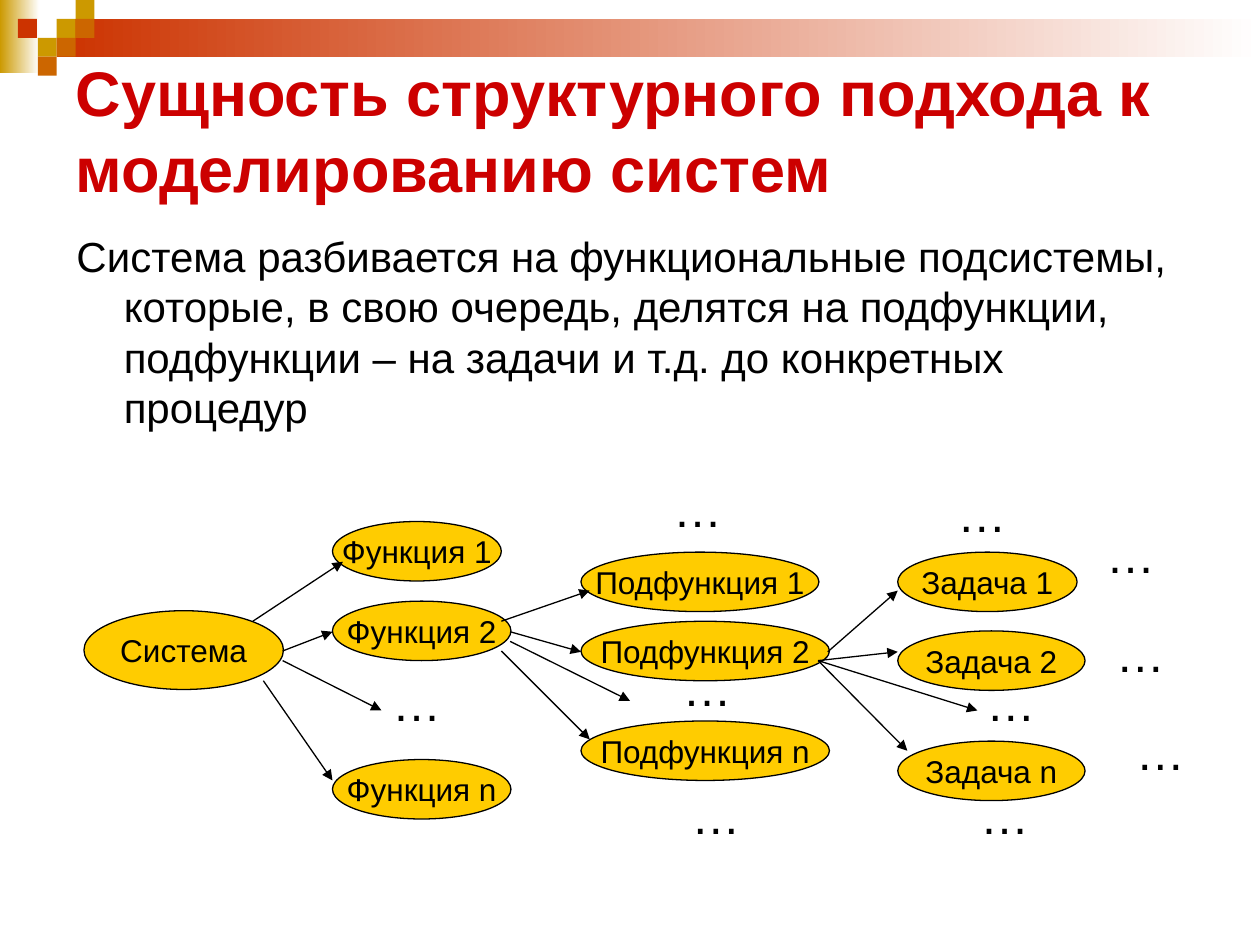
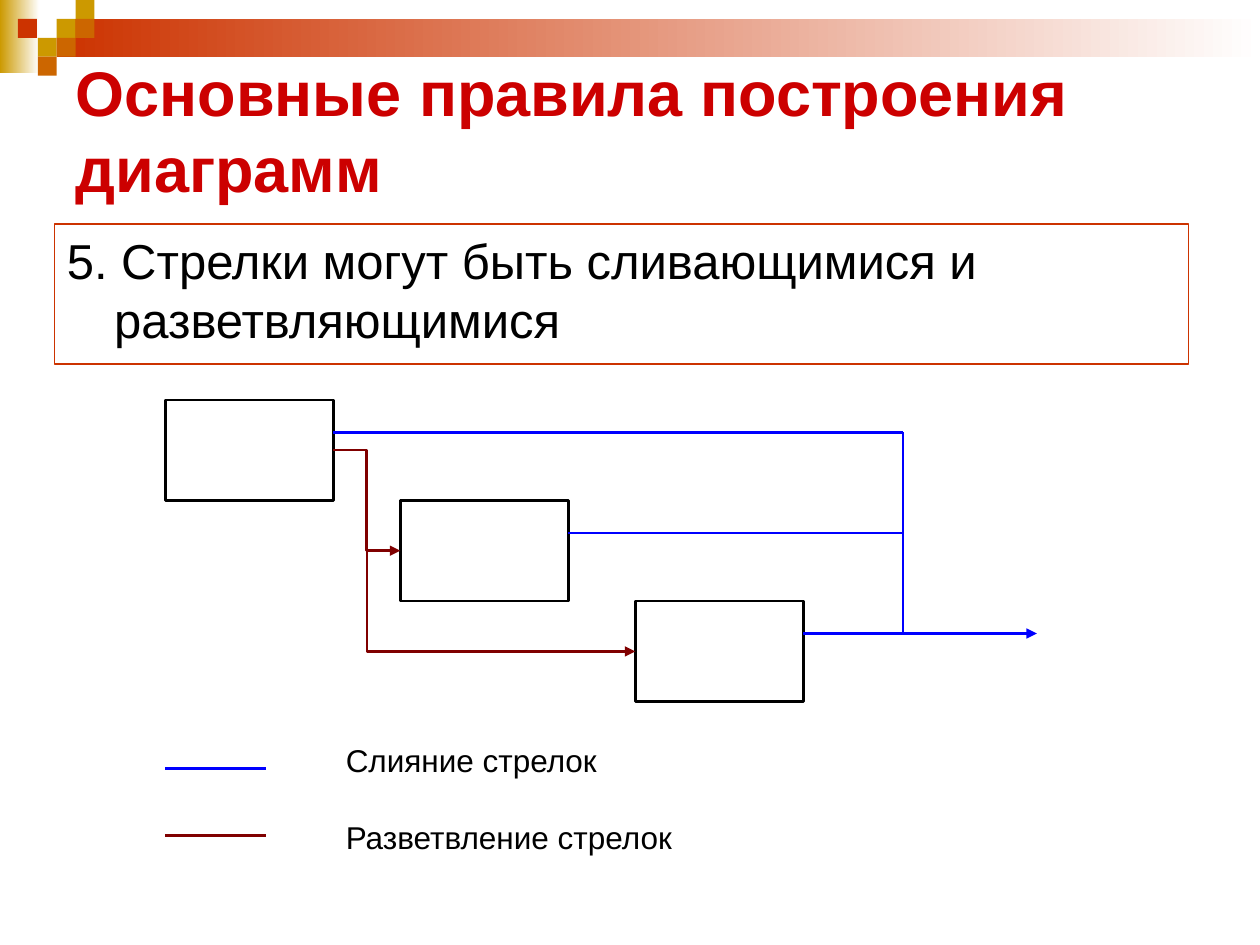
from lxml.etree import SubElement
from pptx import Presentation
from pptx.dml.color import RGBColor
from pptx.enum.shapes import MSO_CONNECTOR as Link, MSO_SHAPE as Shape
from pptx.enum.text import MSO_ANCHOR as Anchor, MSO_AUTO_SIZE as Fit, PP_ALIGN as Align
from pptx.oxml.ns import qn
from pptx.util import Pt

FONT = "Arial"
BLACK, WHITE, RED, AMBER = "000000", "FFFFFF", "CC0000", "FFCC00"
GOLD, ORANGE, RUST = "CC9900", "CC6600", "CC3300"
MERGE, BRANCH = "0000FF", "800000"

BANDS = [(0, 0, 22.5, 42, GOLD), (32.5, 11, 687.5, 21.5, RUST)]
TILE = 10.8
TILES = [(3, 1, GOLD), (4, 0, GOLD), (4, 1, ORANGE), (2, 2, GOLD),
         (0.95, 1, RUST), (3, 2, ORANGE), (2, 3, ORANGE)]

STRUCTURE_TITLE = "Сущность структурного подхода к моделированию систем"
STRUCTURE_TEXT = ("Система разбивается на функциональные подсистемы, которые, в свою очередь, "
                  "делятся на подфункции, подфункции – на задачи и т.д. до конкретных процедур")
SYSTEM = ("Система", 48, 349, 114, 45)
NODE_HEIGHT = 34
LEVELS = [
    (190, [("Функция 1", 298, 96.5), ("Функция 2", 343.5, 102), ("Функция n", 434, 102)]),
    (332, [("Подфункция 1", 315.5, 136), ("Подфункция 2", 355, 142), ("Подфункция n", 412, 142)]),
    (513, [("Задача 1", 315.5, 102.5), ("Задача 2", 360.5, 107), ("Задача n", 423.5, 107)]),
]
ARROWS = [
    (144.5, 355, 196, 321), (161.5, 372, 190, 361), (161.5, 377.5, 218, 406), (150.5, 389, 190, 446),
    (286.5, 355, 337, 337.5), (291.5, 361, 332, 372.5), (291.5, 366.5, 360, 400.5),
    (286.5, 372, 337, 422.5),
    (473, 372.5, 513, 337.5), (467.5, 377.5, 513, 372.5), (467.5, 377.5, 558.5, 406),
    (467.5, 377.5, 518.5, 429),
]
ELLIPSES = [(217, 381), (377.5, 270), (383, 372), (388, 445.5), (540, 273), (556.5, 381),
            (553, 445.5), (625, 296), (630.5, 353), (642, 409)]

RULES_TITLE = "Основные правила построения диаграмм"
RULES_TEXT = "5. Стрелки могут быть сливающимися и разветвляющимися"
LEGEND = [("Слияние стрелок", MERGE, 439), ("Разветвление стрелок", BRANCH, 477.5)]
BOX_LEFT, BOX_TOP, BOX_WIDTH, BOX_HEIGHT = 94.5, 228.5, 96, 57.5
STEP_X, STEP_Y = 134.25, 57.5
MERGE_X, MERGE_END, MERGE_DROP = 516, 592.5, 18.5


def color(hex_text):
    """Turn a hex string into a colour."""
    return RGBColor.from_string(hex_text)


def style(para, size, hex_text=BLACK, bold=False, align=Align.LEFT):
    """Format a whole paragraph."""
    font = para.font
    font.name, font.size, font.bold = FONT, Pt(size), bold
    font.color.rgb = color(hex_text)
    para.alignment = align


def add_box(page, kind, place, fill, line=None, width=0.75):
    """Add a flat preset shape at (left, top, width, height)."""
    box = page.shapes.add_shape(kind, *map(Pt, place))
    box.shadow.inherit = False
    box.fill.solid()
    box.fill.fore_color.rgb = color(fill)
    if line:
        box.line.color.rgb = color(line)
        box.line.width = Pt(width)
    else:
        box.line.fill.background()
    return box


def add_line(page, ends, hex_text, width, arrow=False, kind=Link.STRAIGHT):
    """Add a connector between two points, with an optional arrowhead."""
    line = page.shapes.add_connector(kind, *map(Pt, ends))
    line.line.color.rgb = color(hex_text)
    line.line.width = Pt(width)
    if arrow:
        SubElement(line.line._get_or_add_ln(), qn("a:tailEnd"), type="triangle")
    SubElement(line._element.spPr, qn("a:effectLst"))
    return line


def decorate_master(deck, page):
    """Draw the corner mosaic and bands, then move them to the slide master."""
    parts = []
    for *place, tint in BANDS:
        band = add_box(page, Shape.RECTANGLE, place, tint)
        band.fill.gradient()
        band.fill.gradient_angle = 0
        for stop, shade in zip(band.fill.gradient_stops, (tint, WHITE)):
            stop.color.rgb = color(shade)
        parts.append(band)
    for column, row, tint in TILES:
        place = (column * TILE, row * TILE, TILE, TILE)
        parts.append(add_box(page, Shape.RECTANGLE, place, tint))
    tree = deck.slide_master.shapes.element
    for index, part in enumerate(parts):
        part.element.nvSpPr.cNvPr.set("id", str(100 + index))
        tree.insert(2 + index, part.element)


def place_text(holder, place, text):
    """Move a placeholder, fill it and return its paragraph."""
    holder.left, holder.top, holder.width, holder.height = map(Pt, place)
    holder.text_frame.text = text
    holder.text_frame.auto_size = Fit.NONE
    return holder.text_frame.paragraphs[0]


def add_page(deck, title, text, body_place, size, before):
    """Add a slide with its title and a hanging body paragraph."""
    page = deck.slides.add_slide(deck.slide_layouts[1])
    head, body = page.placeholders
    style(place_text(head, (36, 36, 648, 75.5), title), 36, RED, True)
    head.text_frame.vertical_anchor = Anchor.MIDDLE
    para = place_text(body, body_place, text)
    style(para, size)
    para.space_before = Pt(before)
    props = para._p.get_or_add_pPr()
    props.set("marL", str(Pt(27)))
    props.set("indent", str(-Pt(27)))
    SubElement(props, qn("a:buNone"))
    return page, body


def add_node(page, text, *place):
    """Add an oval with a centred label."""
    node = add_box(page, Shape.OVAL, place, AMBER, BLACK)
    node.text_frame.text = text
    node.text_frame.word_wrap = False
    node.text_frame.vertical_anchor = Anchor.MIDDLE
    style(node.text_frame.paragraphs[0], 18, align=Align.CENTER)


def draw_structure(page):
    """Draw the tree of functions, subfunctions and tasks."""
    add_node(page, *SYSTEM)
    for left, nodes in LEVELS:
        for text, top, width in nodes:
            add_node(page, text, left, top, width, NODE_HEIGHT)
    for ends in ARROWS:
        add_line(page, ends, BLACK, 0.75, arrow=True)
    for left, top in ELLIPSES:
        frame = page.shapes.add_textbox(Pt(left), Pt(top), Pt(42.5), Pt(41)).text_frame
        frame.text = "…"
        frame.word_wrap = False
        frame.auto_size = Fit.SHAPE_TO_FIT_TEXT
        style(frame.paragraphs[0], 28)


def draw_rules(page):
    """Draw three boxes with branching and merging arrows, and the legend."""
    corners = [(BOX_LEFT + i * STEP_X, BOX_TOP + i * STEP_Y) for i in range(3)]
    boxes = [add_box(page, Shape.RECTANGLE, (*corner, BOX_WIDTH, BOX_HEIGHT), WHITE, BLACK, 1.5)
             for corner in corners]

    trunk = BOX_LEFT + (BOX_WIDTH + STEP_X) / 2
    mids = [top + BOX_HEIGHT / 2 for _, top in corners]
    starts = [(BOX_LEFT + BOX_WIDTH, mids[0]), (trunk, mids[0] + STEP_Y)]
    for start, target, bend in zip(starts, (1, 2), (50000, 0)):
        ends = (*start, corners[target][0], mids[target])
        branch = add_line(page, ends, BRANCH, 1.5, True, Link.ELBOW)
        if target == 1:
            branch.begin_connect(boxes[0], 3)
        branch.end_connect(boxes[target], 1)
        guides = branch._element.xpath(".//a:avLst")[0]
        SubElement(guides, qn("a:gd"), name="adj1", fmla=f"val {bend}")

    levels = [top + MERGE_DROP for _, top in corners]
    for (left, _), y, end in zip(corners, levels, (MERGE_X, MERGE_X, MERGE_END)):
        add_line(page, (left + BOX_WIDTH, y, end, y), MERGE, 1.5, arrow=end == MERGE_END)
    add_line(page, (MERGE_X, levels[0], MERGE_X, levels[-1]), MERGE, 1.5)

    label = add_box(page, Shape.RECTANGLE, (190.5, 420, 326, 76), WHITE)
    frame = label.text_frame
    frame.vertical_anchor = Anchor.TOP
    frame.text = "\n".join(text for text, _, _ in LEGEND)
    for para, (_, tint, y) in zip(frame.paragraphs, LEGEND):
        style(para, 18)
        add_line(page, (BOX_LEFT, y, BOX_LEFT + 57.5, y), tint, 1.5)
    frame.paragraphs[1].space_before = Pt(22.5)


def main():
    """Build and save the deck."""
    deck = Presentation()
    deck.slide_width, deck.slide_height = Pt(720), Pt(540)
    page, _ = add_page(deck, STRUCTURE_TITLE, STRUCTURE_TEXT, (36.5, 128, 648, 147.5), 24, 6)
    decorate_master(deck, page)
    draw_structure(page)
    page, body = add_page(deck, RULES_TITLE, RULES_TEXT, (31, 128, 648, 80), 28, 7)
    body.line.color.rgb = color(RUST)
    body.line.width = Pt(0.75)
    draw_rules(page)
    deck.save("out.pptx")


if __name__ == "__main__":
    main()
